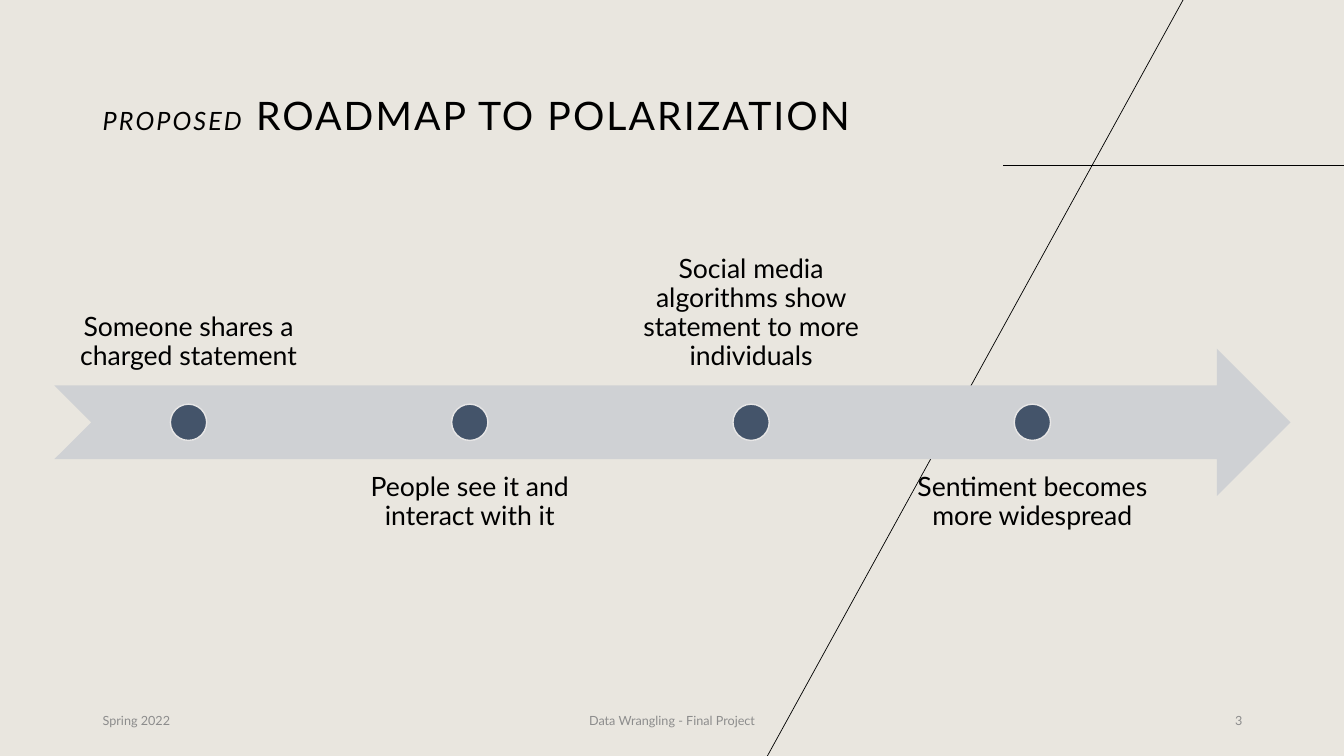
from lxml.etree import SubElement
from pptx import Presentation
from pptx.dml.color import RGBColor
from pptx.enum.shapes import MSO_CONNECTOR, MSO_SHAPE
from pptx.enum.text import MSO_ANCHOR, PP_ALIGN
from pptx.oxml.ns import qn
from pptx.util import Inches, Pt

FONT = "Lato"
BLACK = "000000"
GREY = "8C8C8C"

STEPS = [
    "Someone shares a charged statement",
    "People see it and interact with it",
    "Social media algorithms show statement to more individuals",
    "Sentiment becomes more widespread",
]
STEP_LEFT, STEP_PITCH = 0.54, 2.79
STEP_WIDTH, STEP_HEIGHT = 2.66, 1.46
ABOVE_TOP, BELOW_TOP = 2.37, 4.55
DOT_SIZE, DOT_TOP = 0.36, 4.01


def paint(color_format, hex_color):
    color_format.rgb = RGBColor.from_string(hex_color)


def set_all(target, values):
    for name, value in values.items():
        setattr(target, name, value)


def add_line(slide, start, end):
    line = slide.shapes.add_connector(
        MSO_CONNECTOR.STRAIGHT, *map(Inches, start + end))
    paint(line.line.color, BLACK)
    line.line.width = Pt(0.5)
    SubElement(line._element.spPr, qn("a:effectLst"))


def add_text(slide, box, runs, color=BLACK, align=PP_ALIGN.LEFT,
             anchor=MSO_ANCHOR.MIDDLE, inset=None, line_spacing=1.0, tracking=0):
    """Add one paragraph; each run is a text with its font values."""
    frame = slide.shapes.add_textbox(*map(Inches, box)).text_frame
    set_all(frame, {"word_wrap": True, "vertical_anchor": anchor})
    if inset is not None:
        sides = ("left", "top", "right", "bottom")
        set_all(frame, {f"margin_{side}": Inches(inset) for side in sides})
    paragraph = frame.paragraphs[0]
    set_all(paragraph, {"alignment": align, "line_spacing": line_spacing})
    for text, font_values in runs:
        run = paragraph.add_run()
        run.text = text
        set_all(run.font, {"name": FONT, **font_values})
        paint(run.font.color, color)
        if tracking:
            run.font._element.set("spc", str(round(tracking * 100)))


def add_solid(slide, preset, box, fill, outline=None):
    solid = slide.shapes.add_shape(preset, *map(Inches, box))
    solid.shadow.inherit = False
    solid.fill.solid()
    paint(solid.fill.fore_color, fill)
    if outline:
        paint(solid.line.color, outline)
        solid.line.width = Pt(1)
    else:
        solid.line.fill.background()


def add_step(slide, index, text):
    """Add a milestone, with its label above or below the arrow in turn."""
    left = STEP_LEFT + index * STEP_PITCH
    below = index % 2 == 1
    add_text(slide,
             (left, BELOW_TOP if below else ABOVE_TOP, STEP_WIDTH, STEP_HEIGHT),
             [(text, {"size": Pt(19)})], align=PP_ALIGN.CENTER,
             anchor=MSO_ANCHOR.TOP if below else MSO_ANCHOR.BOTTOM,
             inset=0.15, line_spacing=0.9)
    dot_left = left + (STEP_WIDTH - DOT_SIZE) / 2
    add_solid(slide, MSO_SHAPE.OVAL, (dot_left, DOT_TOP, DOT_SIZE, DOT_SIZE),
              "44546A", "E7E6E6")


def main():
    deck = Presentation()
    set_all(deck, {"slide_width": Inches(13.33), "slide_height": Inches(7.5)})
    slide = deck.slides.add_slide(deck.slide_layouts[6])
    slide.background.fill.solid()
    paint(slide.background.fill.fore_color, "E9E6DF")

    # Crossing decorative lines
    add_line(slide, (9.95, 1.64), (13.33, 1.64))
    add_line(slide, (11.75, -0.03), (7.6, 7.52))

    # Title
    add_text(slide, (0.92, 0.78, 7.79, 0.65),
             [("PROPOSED", {"size": Pt(18), "italic": True}),
              (" ROADMAP TO POLARIZATION", {"size": Pt(28), "italic": False})],
             anchor=MSO_ANCHOR.BOTTOM, line_spacing=0.9, tracking=1.5)

    # Footer
    for left, width, text, align in [
        (0.92, 3, "Spring 2022", PP_ALIGN.LEFT),
        (5.71, 1.91, "Data Wrangling - Final Project", PP_ALIGN.CENTER),
        (9.42, 3, "3", PP_ALIGN.RIGHT),
    ]:
        add_text(slide, (left, 6.95, width, 0.4), [(text, {"size": Pt(9)})],
                 color=GREY, align=align)

    # Roadmap arrow and its steps
    add_solid(slide, MSO_SHAPE.NOTCHED_RIGHT_ARROW, (0.54, 3.46, 12.26, 1.46),
              "CFD1D4")
    for index, text in enumerate(STEPS):
        add_step(slide, index, text)

    deck.save("out.pptx")


if __name__ == "__main__":
    main()
